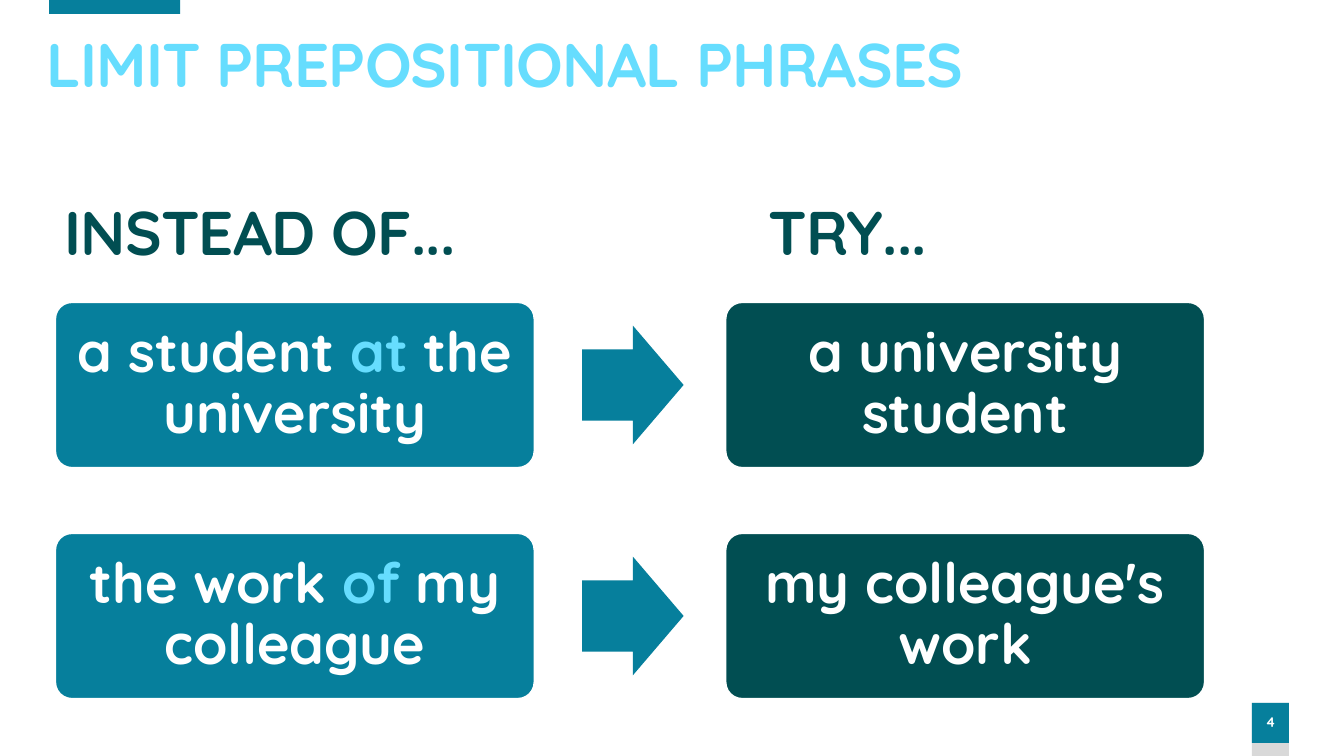
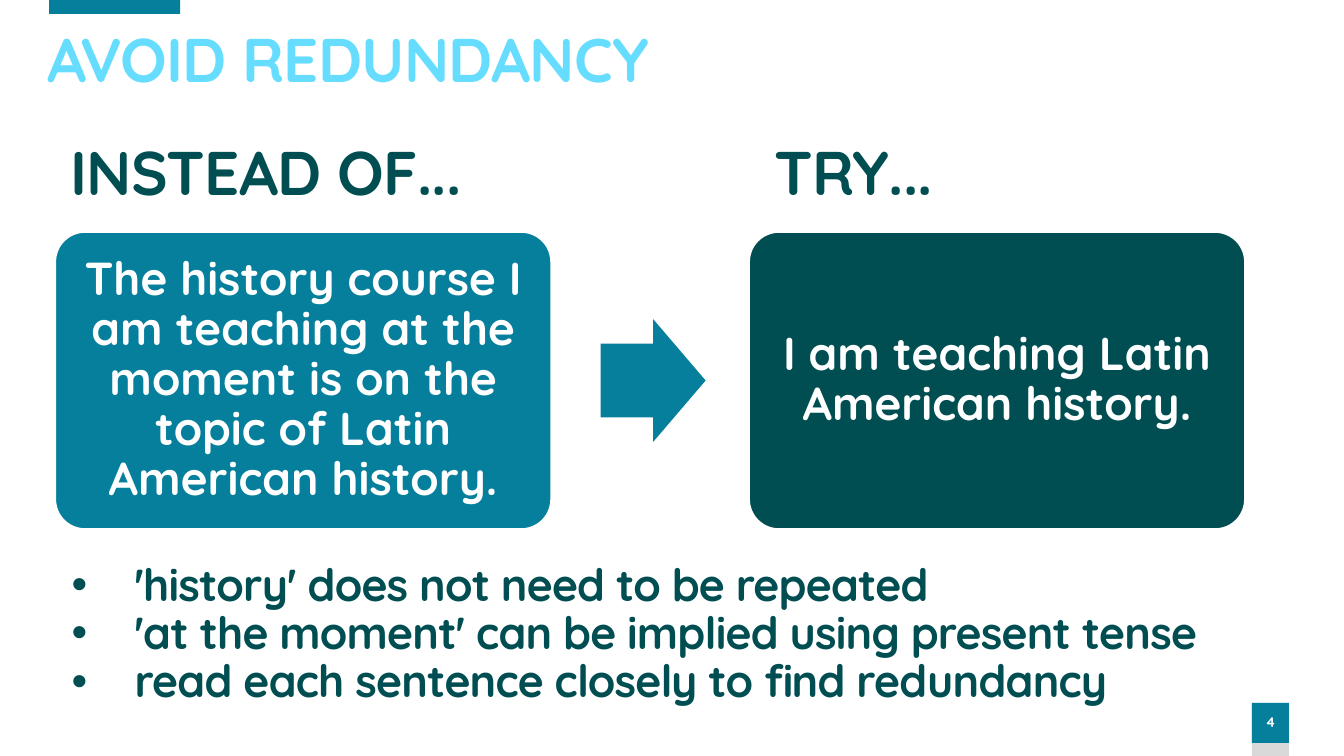
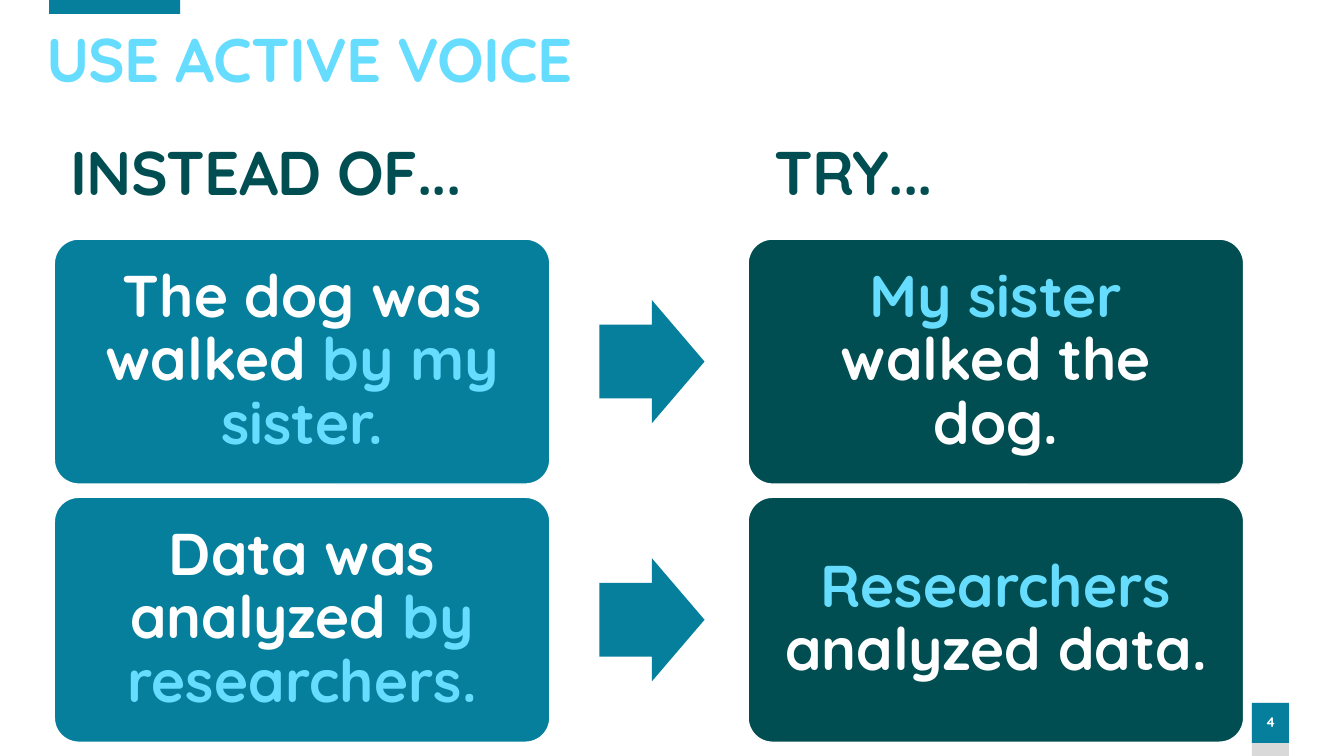
"""Builds three slides on concise writing, each pairing wordy phrases with better ones."""
from lxml import etree
from pptx import Presentation
from pptx.dml.color import RGBColor
from pptx.enum.shapes import MSO_SHAPE
from pptx.enum.text import MSO_ANCHOR, MSO_AUTO_SIZE, PP_ALIGN
from pptx.oxml.ns import qn
from pptx.util import Pt

TEAL, DARK, SKY, WHITE, GRAY = "067F9C", "014E52", "66DDFE", "FFFFFF", "D9D9D9"
FONT = "Quicksand"
HEADINGS = "INSTEAD OF...\tTRY..."
TRY_TAB = 503
PAGE_NUMBER = "4"

SLIDES = [
    {
        "title": "LIMIT PREPOSITIONAL PHRASES",
        "title_at": (26, 21, 690, 55),
        "headings_at": (39, 140.5, 887, 55),
        "grid": {"left": 39.6, "top": 216, "width": 342, "height": 118, "pitch": 165},
        "size": 40, "inset": 12,
        "pairs": [
            ([("a student ", WHITE), ("at ", SKY), ("the university", WHITE)],
             [("a university student", WHITE)]),
            ([("the work ", WHITE), ("of ", SKY), ("my colleague", WHITE)],
             [("my colleague's work", WHITE)]),
        ],
        "notes": [],
    },
    {
        "title": "AVOID REDUNDANCY",
        "title_at": (26.6, 17, 503, 55),
        "headings_at": (43.2, 98, 887, 55),
        "grid": {"left": 39.6, "top": 165.8, "width": 354, "height": 212, "pitch": 0},
        "size": 33, "inset": 10,
        "pairs": [
            ([("The history course I am teaching at the moment is on the topic "
               "of Latin American history.", WHITE)],
             [("I am teaching Latin American history.", WHITE)]),
        ],
        "notes": [
            "'history' does not need to be repeated",
            "'at the moment' can be implied using present tense",
            "read each sentence closely to find redundancy",
        ],
    },
    {
        "title": "USE ACTIVE VOICE",
        "title_at": (26, 17, 503, 55),
        "headings_at": (43.2, 98, 887, 55),
        "grid": {"left": 38.8, "top": 170.8, "width": 354, "height": 175, "pitch": 184.4},
        "size": 42, "inset": 12,
        "pairs": [
            ([("The dog was walked ", WHITE), ("by my sister.", SKY)],
             [("My sister", SKY), (" walked the dog.", WHITE)]),
            ([("Data was analyzed ", WHITE), ("by researchers.", SKY)],
             [("Researchers", SKY), (" analyzed data.", WHITE)]),
        ],
        "notes": [],
    },
]
NOTES_AT = (44, 397.5, 887, 112)
NOTE_INDENT = 45


def rgb(color):
    return RGBColor.from_string(color)


def points(box):
    return [Pt(v) for v in box]


def add_shape(s, kind, box, fill, line=None, adjustments=()):
    sp = s.shapes.add_shape(kind, *points(box))
    sp.shadow.inherit = False
    sp.fill.solid()
    sp.fill.fore_color.rgb = rgb(fill)
    if line:
        sp.line.color.rgb = rgb(line)
        sp.line.width = Pt(1)
    else:
        sp.line.fill.background()
    for i, value in enumerate(adjustments):
        sp.adjustments[i] = value
    return sp


def set_frame(sp, inset_x=7.2, inset_y=3.6):
    tf = sp.text_frame
    frame = {"word_wrap": True, "auto_size": MSO_AUTO_SIZE.NONE,
             "vertical_anchor": MSO_ANCHOR.MIDDLE,
             "margin_left": Pt(inset_x), "margin_right": Pt(inset_x),
             "margin_top": Pt(inset_y), "margin_bottom": Pt(inset_y)}
    for name, value in frame.items():
        setattr(tf, name, value)
    return tf


def write(p, runs, size, align=PP_ALIGN.LEFT, spacing=None):
    layout = {"alignment": align, "line_spacing": 0.9, "space_before": Pt(0)}
    for name, value in layout.items():
        setattr(p, name, value)
    for text, color in runs:
        r = p.add_run()
        r.text = text
        for name, value in {"name": FONT, "size": Pt(size), "bold": True}.items():
            setattr(r.font, name, value)
        r.font.color.rgb = rgb(color)
        if spacing:
            r._r.get_or_add_rPr().set("spc", str(spacing))


def add_title(s, text, box):
    sp = s.shapes.title
    sp.left, sp.top, sp.width, sp.height = points(box)
    write(set_frame(sp).paragraphs[0], [(text, SKY)], 44, spacing=-60)


def add_headings(s, box):
    p = set_frame(s.shapes.add_textbox(*points(box))).paragraphs[0]
    tabs = etree.SubElement(p._p.get_or_add_pPr(), qn("a:tabLst"))
    etree.SubElement(tabs, qn("a:tab"), pos=str(Pt(TRY_TAB)), algn="l")
    write(p, [(HEADINGS, DARK)], 44, spacing=-60)


def add_page_number(s):
    add_shape(s, MSO_SHAPE.RECTANGLE, (894.2, 502, 26.6, 38), GRAY)
    sp = add_shape(s, MSO_SHAPE.RECTANGLE, (894.2, 502, 26.6, 28.6), TEAL)
    write(set_frame(sp, 0).paragraphs[0], [(PAGE_NUMBER, WHITE)], 10, PP_ALIGN.CENTER)


def add_pairs(s, pairs, grid, size, inset):
    left, width, height = grid["left"], grid["width"], grid["height"]
    arrow_w, arrow_h = 0.212 * width, 0.248 * width
    for row, pair in enumerate(pairs):
        top = grid["top"] + row * grid["pitch"]
        for col, (runs, fill) in enumerate(zip(pair, (TEAL, DARK))):
            box = (left + col * 1.4 * width, top, width, height)
            sp = add_shape(s, MSO_SHAPE.ROUNDED_RECTANGLE, box, fill, WHITE, (0.1,))
            write(set_frame(sp, inset, inset).paragraphs[0], runs, size, PP_ALIGN.CENTER)
        arrow = (left + 1.1 * width, top + (height - arrow_h) / 2, arrow_w, arrow_h)
        add_shape(s, MSO_SHAPE.RIGHT_ARROW, arrow, TEAL, adjustments=(0.6, 0.5))


def add_notes(s, notes):
    tf = set_frame(s.shapes.add_textbox(*points(NOTES_AT)))
    for i, note in enumerate(notes):
        p = tf.add_paragraph() if i else tf.paragraphs[0]
        pPr = p._p.get_or_add_pPr()
        pPr.set("marL", str(Pt(NOTE_INDENT)))
        pPr.set("indent", str(-Pt(NOTE_INDENT)))
        etree.SubElement(pPr, qn("a:buFont"), typeface="Arial")
        etree.SubElement(pPr, qn("a:buChar"), char="•")
        write(p, [(note, DARK)], 32, spacing=-60)


def main():
    prs = Presentation()
    prs.slide_width, prs.slide_height = Pt(960), Pt(540)
    layout = prs.slide_layouts[5]
    for n, content in enumerate(SLIDES):
        s = prs.slides.add_slide(layout)
        if n == 0:
            band = add_shape(s, MSO_SHAPE.RECTANGLE, (35.2, 0, 93.6, 10), TEAL)
            layout.shapes.element.append(band.element)
        add_title(s, content["title"], content["title_at"])
        add_headings(s, content["headings_at"])
        add_page_number(s)
        add_pairs(s, content["pairs"], content["grid"], content["size"], content["inset"])
        if content["notes"]:
            add_notes(s, content["notes"])
    prs.save("out.pptx")


if __name__ == "__main__":
    main()
